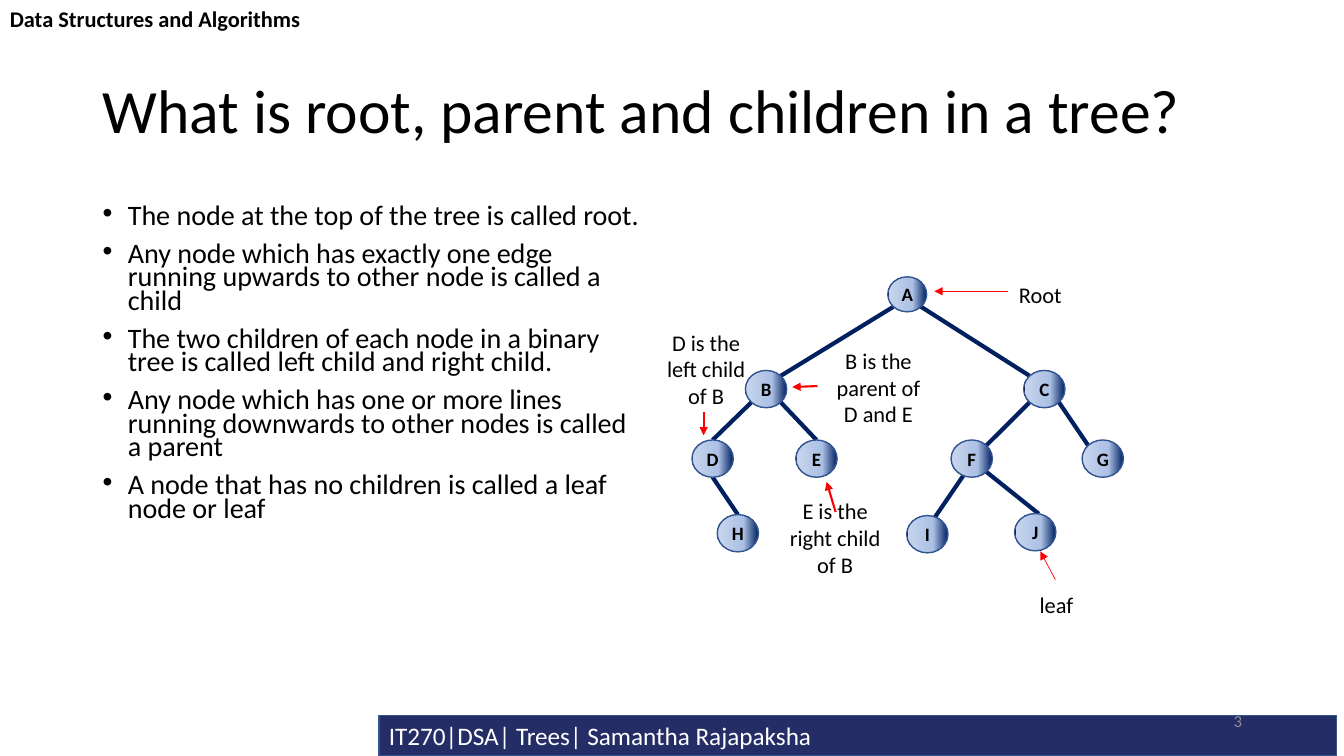
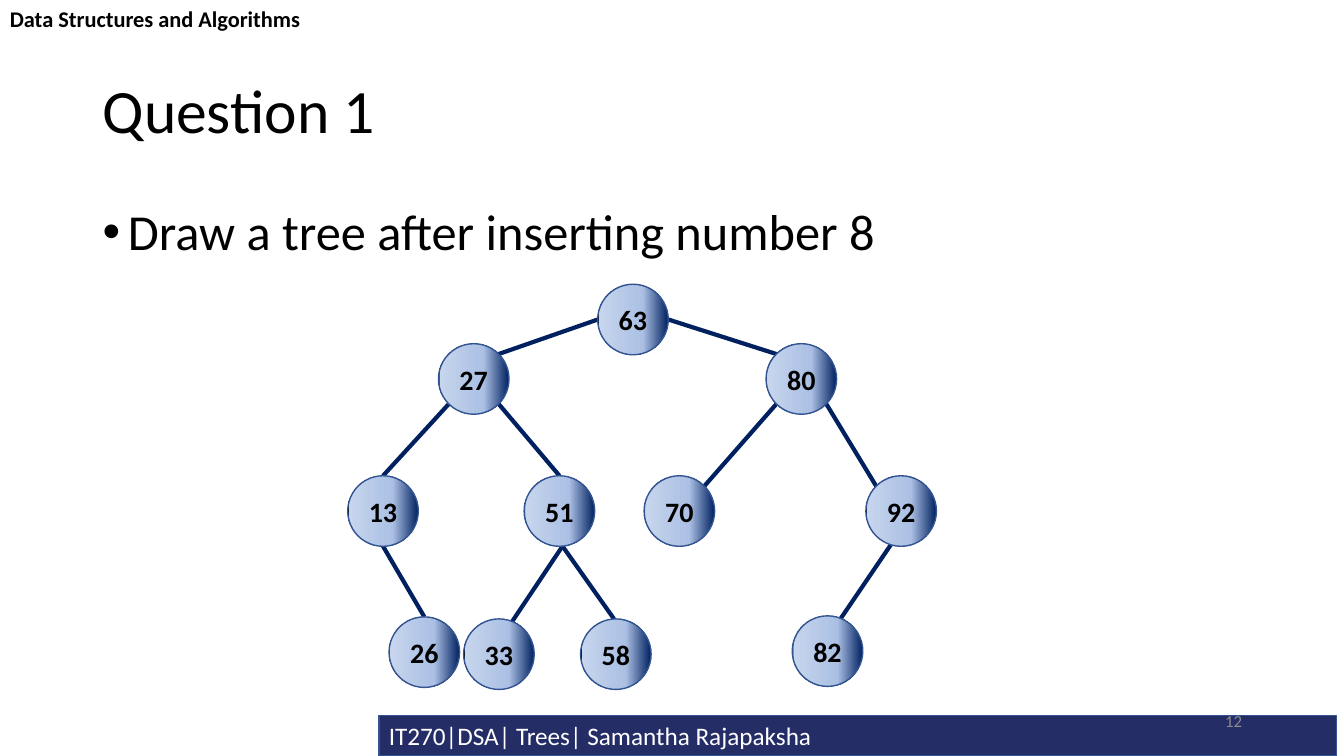
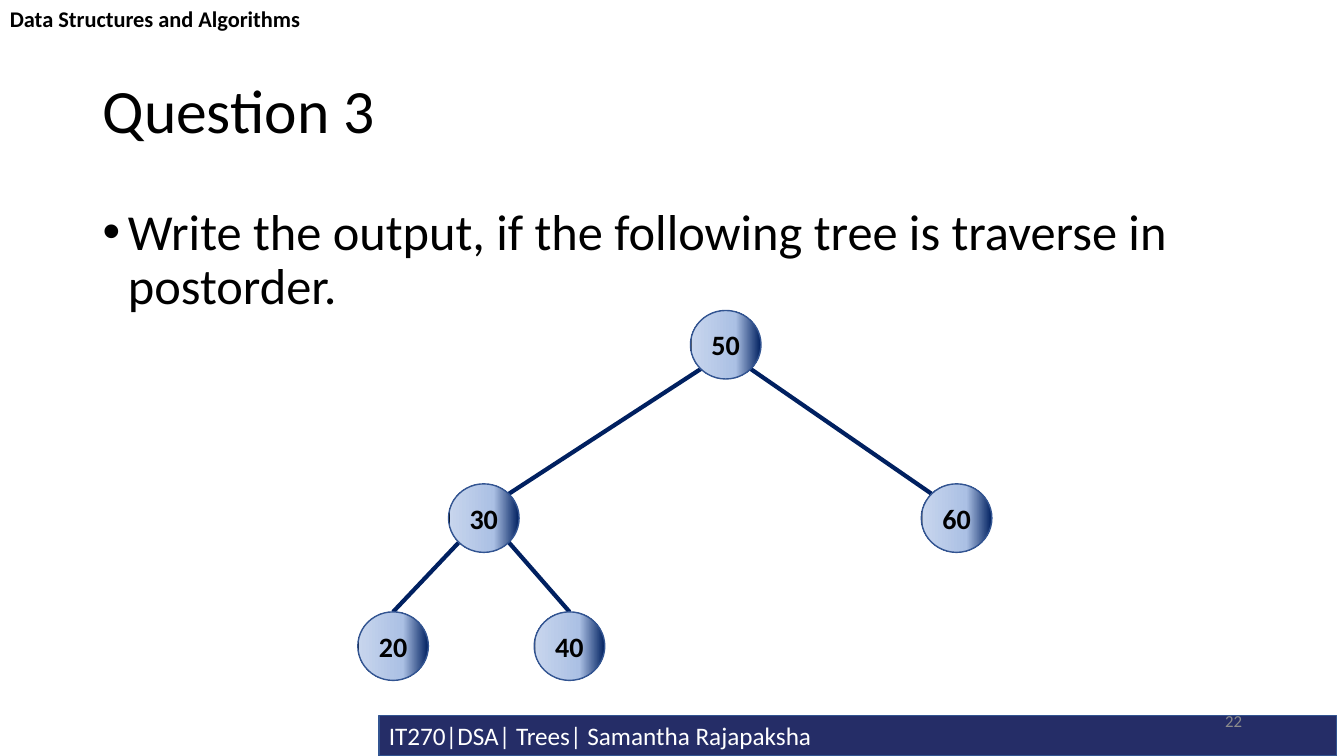
"""Build three lecture slides about binary trees on a grid of tenth-inch cells."""
from math import cos, radians, sin

from pptx import Presentation
from pptx.dml.color import RGBColor
from pptx.enum.shapes import MSO_CONNECTOR, MSO_SHAPE
from pptx.enum.text import MSO_ANCHOR, PP_ALIGN
from pptx.oxml import parse_xml
from pptx.oxml.ns import nsdecls
from pptx.util import Inches, Pt

CELL = Inches(0.1)
WIDE, HIGH = 133.33, 75
LEFT, SPAN = 9.2, 115
FONT = "Calibri"
BLACK, WHITE, GREY = "000000", "FFFFFF", "8C8C8C"
NAVY, EDGE, RIM, RED = "252D67", "002060", "325491", "FF0000"
RECT, NODE = MSO_SHAPE.RECTANGLE, MSO_SHAPE.FLOWCHART_CONNECTOR
STRAIGHT = MSO_CONNECTOR.STRAIGHT
TOP, MID = MSO_ANCHOR.TOP, MSO_ANCHOR.MIDDLE
START, MIDST, END = PP_ALIGN.LEFT, PP_ALIGN.CENTER, PP_ALIGN.RIGHT
STOPS = [(0, EDGE), (36, "ABC0E4"), (98, "C7D5ED"), (99, BLACK)]
SHADE = "".join(f'<a:gs pos="{pos * 1000}"><a:srgbClr val="{tone}"/></a:gs>'
                for pos, tone in STOPS)
SHADE = (f'<a:gradFill {nsdecls("a")} rotWithShape="1"><a:gsLst>{SHADE}</a:gsLst>'
         '<a:lin ang="10800000" scaled="0"/></a:gradFill>')
hue = RGBColor.from_string


def write(page, text, area, kind=None, fill=None, size=16, tone=BLACK, bold=False,
          align=START, anchor=MID, space=1.0, bullet=False, inset=True):
    area = [int(part * CELL) for part in area]
    if kind is None:
        box = page.shapes.add_textbox(*area)
    else:
        box = page.shapes.add_shape(kind, *area)
        box.shadow.inherit = False
        if fill:
            box.fill.solid()
            box.fill.fore_color.rgb = hue(fill)
        else:
            box.element.spPr.insert(2, parse_xml(SHADE))
        box.line.color.rgb = hue(RIM)
        box.line.width = Pt(1)
    frame = box.text_frame
    frame.word_wrap = inset
    frame.vertical_anchor = anchor
    if not inset:
        frame.margin_left = frame.margin_right = 0
        frame.margin_top = frame.margin_bottom = 0
    for num, line in enumerate(text.split("\n")):
        para = frame.add_paragraph() if num else frame.paragraphs[0]
        if bullet:
            prop = para._p.get_or_add_pPr()
            prop.set("marL", str(Inches(0.25)))
            prop.set("indent", str(-Inches(0.25)))
            prop.append(parse_xml(f'<a:buFont {nsdecls("a")} typeface="Arial"/>'))
            prop.append(parse_xml(f'<a:buChar {nsdecls("a")} char="•"/>'))
        para.alignment = align
        para.line_spacing = space
        if num:
            para.space_before = Pt(10)
        run = para.add_run()
        run.text = line
        run.font.name, run.font.size, run.font.bold = FONT, Pt(size), bold
        run.font.color.rgb = hue(tone)


def link(page, start, end, tone=EDGE, width=3, arrow=False):
    ends = [int(part * CELL) for part in (*start, *end)]
    line = page.shapes.add_connector(STRAIGHT, *ends)
    line.line.color.rgb = hue(tone)
    line.line.width = Pt(width)
    prop = line.element.spPr
    if arrow:
        tip = parse_xml(f'<a:tailEnd {nsdecls("a")} type="triangle"/>')
        prop.get_or_add_ln().append(tip)
    prop.append(parse_xml(f'<a:effectLst {nsdecls("a")}/>'))


TERMS = """The node at the top of the tree is called root.
Any node which has exactly one edge running upwards to other node is called a child
The two children of each node in a binary tree is called left child and right child.
Any node which has one or more lines running downwards to other nodes is called a parent
A node that has no children is called a leaf node or leaf"""

SLIDES = [
    dict(title="What is root, parent and children in a tree?", page="3", body=TERMS,
         text=dict(area=(LEFT, 20, 55.5, 37.6), size=20.1, space=0.7),
         node=(4.1, 3.7), size=13.5,
         spots={"A": (90, 29.2, 0.94), "B": (76, 38.6), "C": (103.6, 38.6),
                "D": (70.7, 45.5), "E": (81, 45.5), "F": (96.4, 45.5),
                "G": (109.4, 45.5), "H": (73.2, 52.9), "I": (92, 53),
                "J": (102.7, 52.8)},
         edges=[("A", 135, "B", 315), ("A", 45, "C", 225), ("B", 135, "D", 270),
                ("B", 45, "E", 270), ("C", 135, "F", 315), ("C", 45, "G", 225),
                ("D", 90, "H", 270), ("F", 114, "I", 292), ("F", 45, "J", 280)],
         notes=[("Root", (98.9, 26.7, 8.6, 5)),
                ("E is the right child of B", (77, 50.8, 11.7, 5)),
                ("B is the parent of D and E", (81.3, 35.9, 11.7, 5)),
                ("D is the left child of B", (64.2, 32.5, 11.7, 8.2)),
                ("leaf", (100.5, 57.5, 8.6, 5))],
         marks=[((100, 28.9), (92.7, 28.9), 0.5), ((69.8, 40.9), (69.8, 43.2), 1.5),
                ((81.1, 38.3), (78.6, 38.4), 1.5), ((82.9, 50.8), (82, 47.8), 1.5),
                ((104.7, 57.5), (103.2, 54.7), 0.5)]),
    dict(title="Question 1", page="12", body="Draw a tree after inserting number 8",
         text=dict(area=(LEFT, 20, SPAN, 47.6), size=36, space=0.9),
         node=(7, 7), size=20,
         spots={"63": (62.8, 31.7), "27": (47, 37.6), "80": (79.5, 37.6),
                "13": (38, 50.7), "51": (55.5, 50.7), "70": (67.4, 50.7),
                "92": (89.4, 50.7), "26": (42.1, 64.7), "33": (49.5, 64.9),
                "58": (61.1, 64.9), "82": (82.1, 64.6)},
         edges=[("63", 180, "27", 315), ("63", 0, "80", 225), ("27", 135, "13", 270),
                ("27", 45, "51", 270), ("80", 135, "70", 315), ("80", 45, "92", 225),
                ("13", 90, "26", 270), ("51", 85, "33", 292), ("51", 85, "58", 267),
                ("92", 107, "82", 292)],
         notes=[], marks=[]),
    dict(title="Question 3", page="22",
         body="Write the output, if the following tree is traverse in postorder.",
         text=dict(area=(LEFT, 20, SPAN, 47.6), size=36, space=0.9),
         node=(7, 6.8), size=20,
         spots={"50": (72, 34.2), "30": (48, 51.4), "60": (94.9, 51.4),
                "20": (39, 64.1), "40": (56.5, 64.1)},
         edges=[("50", 135, "30", 315), ("50", 45, "60", 225),
                ("30", 135, "20", 270), ("30", 45, "40", 270)],
         notes=[], marks=[]),
]

deck = Presentation()
deck.slide_width, deck.slide_height = int(WIDE * CELL), int(HIGH * CELL)
for item in SLIDES:
    page = deck.slides.add_slide(deck.slide_layouts[6])
    write(page, "IT270|DSA| Trees| Samantha Rajapaksha", (37.6, 71, 95, 4),
          kind=RECT, fill=NAVY, size=18, tone=WHITE)
    write(page, "Data Structures and Algorithms", (0, 0, WIDE, 3.7),
          bold=True, anchor=TOP)
    write(page, item["title"], (LEFT, 4, SPAN, 14.5), size=44, space=0.9)
    write(page, item["body"], anchor=TOP, bullet=True, **item["text"])
    write(page, item["page"], (94.2, 69.5, 30, 4), size=12, tone=GREY, align=END)

    wide, high = item["node"]
    spots = {name: (*spot, 1)[:3] for name, spot in item["spots"].items()}
    for head, out, child, into in item["edges"]:
        ends = []
        for name, turn in ((head, out), (child, into)):
            x, y, scale = spots[name]
            ends.append((x + cos(radians(turn)) * wide * scale / 2,
                         y + sin(radians(turn)) * high * scale / 2))
        link(page, *ends)
    for name, (x, y, scale) in spots.items():
        w, h = wide * scale, high * scale
        write(page, name, (x - w / 2, y - h / 2, w, h), kind=NODE,
              size=item["size"], bold=True, align=MIDST, inset=False)
    for note, area in item["notes"]:
        write(page, note, area, align=MIDST)
    for start, end, width in item["marks"]:
        link(page, start, end, tone=RED, width=width, arrow=True)

deck.save("out.pptx")
